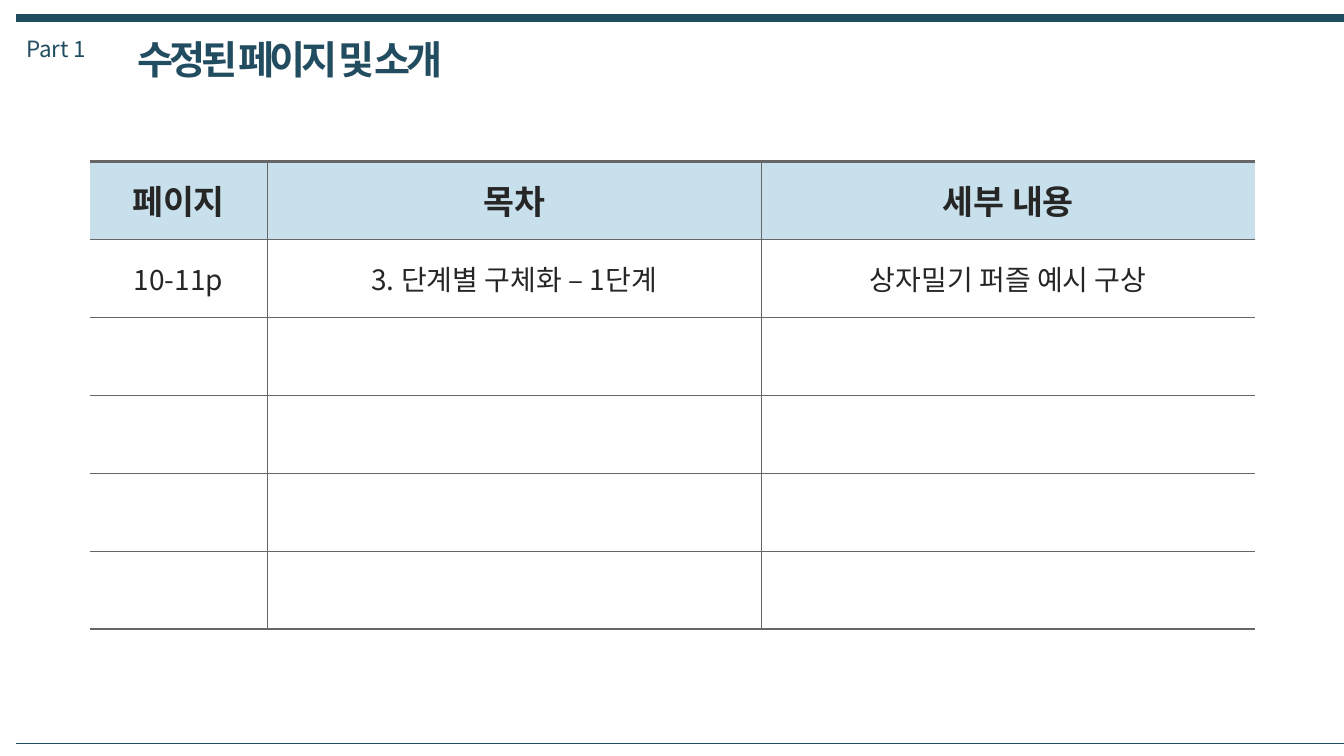
from lxml import etree
from pptx import Presentation
from pptx.dml.color import RGBColor
from pptx.enum.shapes import MSO_CONNECTOR
from pptx.enum.text import MSO_ANCHOR, MSO_AUTO_SIZE, PP_ALIGN
from pptx.oxml.ns import qn
from pptx.util import Inches, Pt

STRAIGHT = MSO_CONNECTOR.STRAIGHT
MIDDLE = MSO_ANCHOR.MIDDLE
CENTER = PP_ALIGN.CENTER

# Content
PART = "Part 1"
TITLE = "수정된 페이지 및 소개"
HEADERS = ["페이지", "목차", "세부 내용"]
ENTRIES = [["10-11p", "3. 단계별 구체화 – 1단계", "상자밀기 퍼즐 예시 구상"]]
EMPTY_ROWS = 4

# Style
FONT = "Noto Sans CJK KR"
COLORS = {"navy": "224D60", "header": "C7E0EB", "body": "FFFFFF",
          "text": "262626", "border": "666666"}
THIN, THICK = 0.75, 2.25

# Layout in inches
SLIDE_WIDTH, SLIDE_HEIGHT = 13.33, 7.5
RULE_LEFT, RULE_RIGHT = 0.16, 13.35
RULES = [(0.18, 6), (7.37, 0.25)]  # height on the slide, line width
HEADING_TOP = 0.3
TABLE_LEFT, TABLE_TOP, TABLE_HEIGHT = 0.89, 1.6, 4.64
COLUMN_WIDTHS = [1.76, 4.9, 4.9]


def color(name):
    return RGBColor.from_string(COLORS[name])


def style_paragraph(paragraph, size, color_name, bold=False):
    font = paragraph.font
    font.name, font.size, font.bold = FONT, Pt(size), bold
    font.color.rgb = color(color_name)
    for run in paragraph.runs:
        east_asian = etree.SubElement(run._r.get_or_add_rPr(), qn("a:ea"))
        east_asian.set("typeface", FONT)


def add_rule(slide, y, width):
    rule = slide.shapes.add_connector(
        STRAIGHT, Inches(RULE_LEFT), Inches(y), Inches(RULE_RIGHT), Inches(y))
    rule.line.color.rgb = color("navy")
    rule.line.width = Pt(width)
    etree.SubElement(rule._element.spPr, qn("a:effectLst"))


def add_heading(slide, text, left, width, height, size, bold=False, spacing=0):
    box = slide.shapes.add_textbox(
        Inches(left), Inches(HEADING_TOP), Inches(width), Inches(height))
    frame = box.text_frame
    frame.word_wrap = False
    frame.auto_size = MSO_AUTO_SIZE.SHAPE_TO_FIT_TEXT
    paragraph = frame.paragraphs[0]
    run = paragraph.add_run()
    run.text = text
    style_paragraph(paragraph, size, "navy", bold)
    if spacing:
        run._r.get_or_add_rPr().set("spc", str(spacing * 100))


def add_border(cell, side, width):
    """Draw one side of a cell, or clear it when width is 0."""
    line = etree.SubElement(cell._tc.get_or_add_tcPr(), qn("a:ln" + side))
    line.set("w", str(Pt(width)))
    if not width:
        etree.SubElement(line, qn("a:noFill"))
        return
    fill = etree.SubElement(line, qn("a:solidFill"))
    etree.SubElement(fill, qn("a:srgbClr")).set("val", COLORS["border"])


def add_page_table(slide):
    rows = [HEADERS] + ENTRIES + [[""] * len(HEADERS)] * EMPTY_ROWS
    last_row, last_column = len(rows) - 1, len(HEADERS) - 1
    table = slide.shapes.add_table(
        len(rows), len(HEADERS), Inches(TABLE_LEFT), Inches(TABLE_TOP),
        Inches(sum(COLUMN_WIDTHS)), Inches(TABLE_HEIGHT)).table
    table.first_row = table.horz_banding = False
    for column, width in zip(table.columns, COLUMN_WIDTHS):
        column.width = Inches(width)

    for r, row in enumerate(rows):
        is_header = r == 0
        for c, text in enumerate(row):
            cell = table.cell(r, c)
            # Open sides, heavy top and bottom edges
            add_border(cell, "L", THIN if c > 0 else 0)
            add_border(cell, "R", THIN if c < last_column else 0)
            add_border(cell, "T", THICK if is_header else THIN)
            add_border(cell, "B", THICK if r == last_row else THIN)
            cell.fill.solid()
            cell.fill.fore_color.rgb = color("header" if is_header else "body")
            cell.vertical_anchor = MIDDLE
            if text:
                cell.text = text
                paragraph = cell.text_frame.paragraphs[0]
                paragraph.alignment = CENTER
                style_paragraph(paragraph, 24 if is_header else 20, "text", is_header)


def main():
    presentation = Presentation()
    presentation.slide_width = Inches(SLIDE_WIDTH)
    presentation.slide_height = Inches(SLIDE_HEIGHT)
    slide = presentation.slides.add_slide(presentation.slide_layouts[6])

    for y, width in RULES:
        add_rule(slide, y, width)
    add_heading(slide, PART, 0.16, 0.92, 0.37, 16)
    add_heading(slide, TITLE, 1.27, 3.42, 0.57, 28, bold=True, spacing=-3)
    add_page_table(slide)
    presentation.save("out.pptx")


if __name__ == "__main__":
    main()
